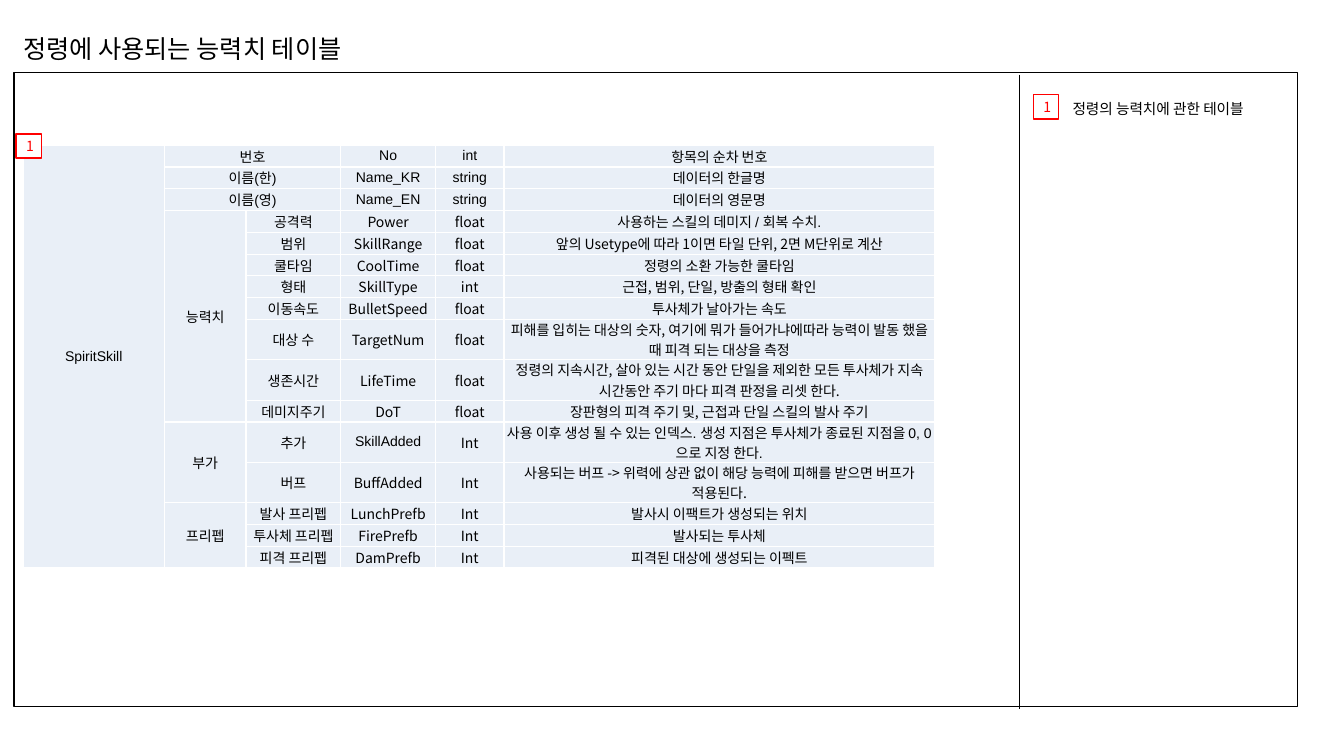
from lxml import etree
from pptx import Presentation
from pptx.dml.color import RGBColor
from pptx.enum import shapes, text
from pptx.oxml import ns
from pptx.util import Inches, Pt

ARIAL, NOTO = "Arial", "Noto Sans CJK KR"
BLACK, WHITE, RED, PALE = "000000", "FFFFFF", "FF0000", "E9EFF7"
COLS = [1.4, 0.81, 0.94, 0.94, 0.68, 4.27]
ROW = 3.46 / 16
# Each row: group, item, field, type, meaning
ROWS = [
    ("번호", "", "No", "int", "항목의 순차 번호"),
    ("이름(한)", "", "Name_KR", "string", "데이터의 한글명"),
    ("이름(영)", "", "Name_EN", "string", "데이터의 영문명"),
    ("능력치", "공격력", "Power", "float", "사용하는 스킬의 데미지 / 회복 수치."),
    ("", "범위", "SkillRange", "float",
     "앞의 Usetype에 따라 1이면 타일 단위, 2면 M단위로 계산"),
    ("", "쿨타임", "CoolTime", "float", "정령의 소환 가능한 쿨타임"),
    ("", "형태", "SkillType", "int", "근접, 범위, 단일, 방출의 형태 확인"),
    ("", "이동속도", "BulletSpeed", "float", "투사체가 날아가는 속도"),
    ("", "대상 수", "TargetNum", "float",
     "피해를 입히는 대상의 숫자, 여기에 뭐가 들어가냐에따라 능력이 발동 "
     "했을 때 피격 되는 대상을 측정"),
    ("", "생존시간", "LifeTime", "float",
     "정령의 지속시간, 살아 있는 시간 동안 단일을 제외한 모든 투사체가 지속 "
     "시간동안 주기 마다 피격 판정을 리셋 한다."),
    ("", "데미지주기", "DoT", "float",
     "장판형의 피격 주기 및, 근접과 단일 스킬의 발사 주기"),
    ("부가", "추가", "SkillAdded", "Int",
     "사용 이후 생성 될 수 있는 인덱스. 생성 지점은 투사체가 종료된 지점을 "
     "0, 0으로 지정 한다."),
    ("", "버프", "BuffAdded", "Int",
     "사용되는 버프 -> 위력에 상관 없이 해당 능력에 피해를 받으면 버프가 "
     "적용된다."),
    ("프리펩", "발사 프리펩", "LunchPrefb", "Int", "발사시 이팩트가 생성되는 위치"),
    ("", "투사체 프리펩", "FirePrefb", "Int", "발사되는 투사체"),
    ("", "피격 프리펩", "DamPrefb", "Int", "피격된 대상에 생성되는 이펙트"),
]
HEAD = 3
ARIAL_CELLS = {(3, 1), (3, 2), (3, 5), (11, 1), (11, 3), (11, 5)}


def color(code):
    """Turn a hex string into a colour."""
    return RGBColor.from_string(code)


def write(frame, words, size=10, font=NOTO, tint=BLACK, center=False):
    """Put one formatted paragraph into a text frame."""
    para = frame.paragraphs[0]
    para.alignment = text.PP_ALIGN.CENTER if center else text.PP_ALIGN.LEFT
    run = para.add_run()
    run.text = words
    run.font.size = Pt(size)
    run.font.name = font
    run.font.color.rgb = color(tint)
    east = etree.SubElement(run.font._element, ns.qn("a:ea"))
    east.set("typeface", NOTO)


def label(slide, box, words, size):
    """Add a plain left-aligned text box."""
    frame = slide.shapes.add_textbox(*map(Inches, box)).text_frame
    frame.word_wrap = True
    write(frame, words, size=size)


def rect(slide, box, line, fill=None):
    """Add an outlined rectangle."""
    shape = slide.shapes.add_shape(
        shapes.MSO_SHAPE.RECTANGLE, *map(Inches, box))
    shape.shadow.inherit = False
    shape.line.color.rgb = color(line)
    shape.line.width = Pt(1)
    if fill:
        shape.fill.solid()
        shape.fill.fore_color.rgb = color(fill)
    else:
        shape.fill.background()
    return shape


def badge(slide, left, top, words):
    """Add a red numbered marker."""
    frame = rect(slide, (left, top, 0.25, 0.24), RED, WHITE).text_frame
    frame.vertical_anchor = text.MSO_ANCHOR.MIDDLE
    write(frame, words, tint=RED, center=True)


def paint(cell):
    """Give a cell white borders, a pale fill and no margins."""
    props = cell._tc.get_or_add_tcPr()
    for side in ("lnL", "lnR", "lnT", "lnB"):
        line = etree.SubElement(props, ns.qn("a:" + side), w=str(Pt(1)))
        fill = etree.SubElement(line, ns.qn("a:solidFill"))
        etree.SubElement(fill, ns.qn("a:srgbClr"), val=WHITE)
    cell.fill.solid()
    cell.fill.fore_color.rgb = color(PALE)
    cell.margin_left = cell.margin_right = 0
    cell.margin_top = cell.margin_bottom = 0
    cell.vertical_anchor = text.MSO_ANCHOR.MIDDLE


def merge(table):
    """Join the name column, the wide heads and the group cells."""
    last = len(ROWS) - 1
    table.cell(0, 0).merge(table.cell(last, 0))
    for row in range(HEAD):
        table.cell(row, 1).merge(table.cell(row, 2))
    starts = [i for i, row in enumerate(ROWS) if i >= HEAD and row[0]]
    for top, end in zip(starts, starts[1:] + [len(ROWS)]):
        table.cell(top, 1).merge(table.cell(end - 1, 1))


def stats(slide, left, top):
    """Build the table of spirit stats."""
    size = (sum(COLS), ROW * len(ROWS))
    table = slide.shapes.add_table(
        len(ROWS), len(COLS), *map(Inches, (left, top, *size))).table
    table.first_row = table.horz_banding = False
    for col, width in zip(table.columns, COLS):
        col.width = Inches(width)
    for row in table.rows:
        row.height = Inches(ROW)
    merge(table)
    for i, row in enumerate(ROWS):
        name = "" if i else "SpiritSkill"
        for j, words in enumerate((name, *row)):
            cell = table.cell(i, j)
            paint(cell)
            if words:
                plain = i < HEAD or (i, j) in ARIAL_CELLS
                write(cell.text_frame, words, center=True,
                      font=ARIAL if plain else NOTO)
            else:
                cell.text_frame.paragraphs[0].font.size = Pt(10)


def panel(slide, left, top, width, height):
    """Draw the main frame and the divider of its note column."""
    rect(slide, (left, top, width, height), BLACK)
    x, y = left + 9.97, top + 0.02
    line = slide.shapes.add_connector(
        shapes.MSO_CONNECTOR.STRAIGHT, *map(Inches, (x, y, x, y + height)))
    line.line.color.rgb = color(BLACK)
    line.line.width = Pt(0.75)
    etree.SubElement(line._element.spPr, ns.qn("a:effectLst"))


def note(slide, left, top, mark, words):
    """Add a numbered remark to the note column."""
    badge(slide, left, top, mark)
    label(slide, (left + 0.29, top, 2.27, 0.28), words, 10.5)


def main():
    """Build the slide and save it."""
    deck = Presentation()
    deck.slide_width, deck.slide_height = Inches(13.33), Inches(7.5)
    slide = deck.slides.add_slide(deck.slide_layouts[6])
    stats(slide, 0.23, 1.44)
    label(slide, (0.13, 0.28, 4.92, 0.4), "정령에 사용되는 능력치 테이블", 18)
    panel(slide, 0.14, 0.72, 12.73, 6.29)
    note(slide, 10.25, 0.94, "1", "정령의 능력치에 관한 테이블")
    badge(slide, 0.16, 1.33, "1")
    deck.save("out.pptx")


main()
